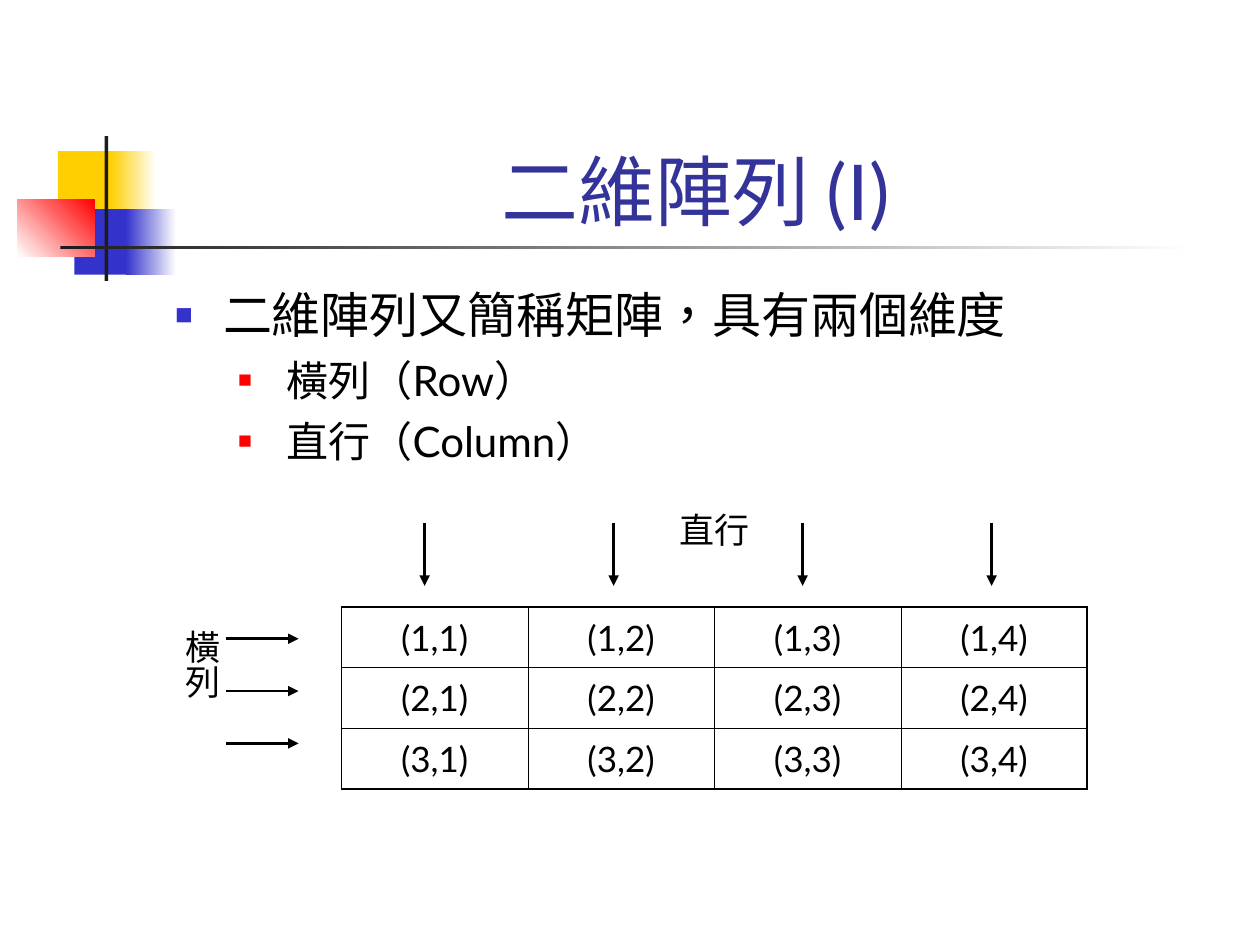
from lxml import etree
from pptx import Presentation, util as u
from pptx.dml.color import RGBColor
from pptx.enum import lang, shapes, text
from pptx.oxml import parse_xml
from pptx.oxml.ns import nsdecls, qn

HUES = {"gold": "FFCF01", "blue": "3333CC", "red": "FF0000", "dark": "1C1C1C",
        "white": "FFFFFF", "navy": "333399", "black": "000000"}
DECO = [
    ((0.46, 1.2, 0.48, 0.52), ["gold"], 0),
    ((0.88, 1.2, 0.36, 0.52), ["gold", "white"], 0),
    ((0.59, 1.66, 0.46, 0.52), ["blue"], 0),
    ((1, 1.66, 0.4, 0.52), ["blue", "white"], 0),
    ((0.14, 1.58, 0.61, 0.46), ["white", "red"], 45),
    ((0.83, 1.08, 0.03, 1.15), ["dark"], 0),
    ((0.48, 1.95, 9, 0.03), ["dark", "white"], 0),
]
ITEMS = [(0, "二維陣列又簡稱矩陣，具有兩個維度"),
         (1, " 橫列（Row）"), (1, " 直行（Column）")]
LEVELS = [dict(size=28, left=0.38, hang=0.38, gap=7, hue="blue", share=60),
          dict(size=24, left=0.81, hang=0.31, gap=6, hue="red", share=55)]
ROWS, COLS = 3, 4
WIDE, HIGH = 1.48, 0.48


def tint(name):
    """Return the colour called name."""
    return RGBColor.from_string(HUES[name])


def inches(*nums):
    """Turn numbers into inch lengths."""
    return [u.Inches(n) for n in nums]


def put(obj, vals):
    """Set every attribute in vals on obj."""
    for key, val in vals.items():
        setattr(obj, key, val)


def write(para, words, size, hue="black", gap=0, align=text.PP_ALIGN.CENTER):
    """Add one formatted run to a paragraph."""
    run = para.add_run()
    run.text = words
    put(run.font, dict(size=u.Pt(size), name="Lato",
                       language_id=lang.MSO_LANGUAGE_ID.TRADITIONAL_CHINESE))
    run.font.color.rgb = tint(hue)
    put(para, dict(alignment=align, space_before=u.Pt(gap)))


def block(slide, box, hues, angle):
    """Draw a plain or fading rectangle."""
    rect = slide.shapes.add_shape(shapes.MSO_SHAPE.RECTANGLE, *inches(*box))
    rect.shadow.inherit = False
    rect.line.fill.background()
    if len(hues) == 1:
        rect.fill.solid()
        rect.fill.fore_color.rgb = tint(hues[0])
        return
    rect.fill.gradient()
    rect.fill.gradient_angle = angle
    for stop, hue in zip(rect.fill.gradient_stops, hues):
        stop.color.rgb = tint(hue)


def place(holder, box, anchor):
    """Move a placeholder and return its text frame."""
    put(holder, dict(zip(("left", "top", "width", "height"), inches(*box))))
    put(holder.text_frame, dict(vertical_anchor=anchor, word_wrap=True,
                                auto_size=text.MSO_AUTO_SIZE.NONE))
    return holder.text_frame


def bullet(para, left, hang, hue, share):
    """Give a paragraph a square bullet and a hanging indent."""
    props = para._p.get_or_add_pPr()
    props.set("marL", str(u.Inches(left)))
    props.set("indent", str(-u.Inches(hang)))
    for part in (f'<a:buClr {nsdecls("a")}><a:srgbClr val="{HUES[hue]}"/></a:buClr>',
                 f'<a:buSzPct {nsdecls("a")} val="{share * 1000}"/>',
                 f'<a:buChar {nsdecls("a")} char="■"/>'):
        props.append(parse_xml(part))


def outline(frame):
    """Fill the body with the bulleted list."""
    for num, (level, words) in enumerate(ITEMS):
        para = frame.paragraphs[0] if num == 0 else frame.add_paragraph()
        form = LEVELS[level]
        para.level = level
        write(para, words, form["size"], gap=form["gap"], align=text.PP_ALIGN.LEFT)
        bullet(para, *(form[key] for key in ("left", "hang", "hue", "share")))


def border(cell, sides):
    """Draw the cell's borders from a dict of side and width."""
    props = cell._tc.get_or_add_tcPr()
    for side, width in sides.items():
        props.append(parse_xml(
            f'<a:ln{side} {nsdecls("a")} w="{u.Pt(width)}"><a:solidFill>'
            f'<a:srgbClr val="{HUES["black"]}"/></a:solidFill></a:ln{side}>'))


def matrix(slide):
    """Add the table of row and column indices."""
    grid = slide.shapes.add_table(
        ROWS, COLS, *inches(2.71, 4.82, WIDE * COLS, HIGH * ROWS)).table
    put(grid, dict(first_row=False, horz_banding=False))
    for row in range(ROWS):
        for col in range(COLS):
            cell = grid.cell(row, col)
            edges = dict(L=col == 0, R=col == COLS - 1, T=row == 0, B=row == ROWS - 1)
            border(cell, {side: 1.08 if outer else 0.45 for side, outer in edges.items()})
            cell.fill.background()
            cell.vertical_anchor = text.MSO_ANCHOR.MIDDLE
            write(cell.text_frame.paragraphs[0], f"({row + 1},{col + 1})", 20, gap=5)


def arrow(slide, x, y, across, down):
    """Draw an arrow from a point by a given run and drop."""
    line = slide.shapes.add_connector(
        shapes.MSO_CONNECTOR.STRAIGHT, *inches(x, y, x + across, y + down))
    line.line.width = u.Pt(1.5)
    line.line.color.rgb = tint("black")
    etree.SubElement(line.line._get_or_add_ln(), qn("a:tailEnd"), type="triangle")
    etree.SubElement(line._element.spPr, qn("a:effectLst"))


def label(slide, words, box, upright=False):
    """Add a caption, stacked downwards when upright."""
    frame = slide.shapes.add_textbox(*inches(*box)).text_frame
    frame.word_wrap = True
    if upright:
        sides = dict(margin_left=0.05, margin_right=0.05, margin_top=0.1, margin_bottom=0.1)
        put(frame, {key: u.Inches(val) for key, val in sides.items()})
        frame._txBody.bodyPr.set("vert", "eaVert")
    write(frame.paragraphs[0], words, 20, gap=12.5)


def main():
    """Build and save the slide."""
    deck = Presentation()
    put(deck, dict(slide_width=u.Inches(10), slide_height=u.Inches(7.5)))
    slide = deck.slides.add_slide(deck.slide_layouts[1])
    for box, hues, angle in DECO:
        block(slide, box, hues, angle)
    title, body = slide.placeholders
    head = place(title, (1.26, 0.67, 8.52, 1.25), text.MSO_ANCHOR.BOTTOM)
    write(head.paragraphs[0], "二維陣列 (I)", 44, "navy")
    outline(place(body, (1.29, 2.21, 8.5, 4.5), text.MSO_ANCHOR.TOP))
    for holder in (title, body):
        slide.shapes._spTree.append(holder._element)
    matrix(slide)
    for col in range(COLS):
        arrow(slide, 3.37 + 1.5 * col, 4.15, 0, 0.5)
    for row in range(ROWS):
        arrow(slide, 1.79, 5.07 + 0.415 * row, 0.58, 0)
    label(slide, "直行", (4.96, 3.99, 1.42, 0.44))
    label(slide, "橫列", (1.29, 4.9, 0.53, 1.17), upright=True)
    deck.save("out.pptx")


if __name__ == "__main__":
    main()
